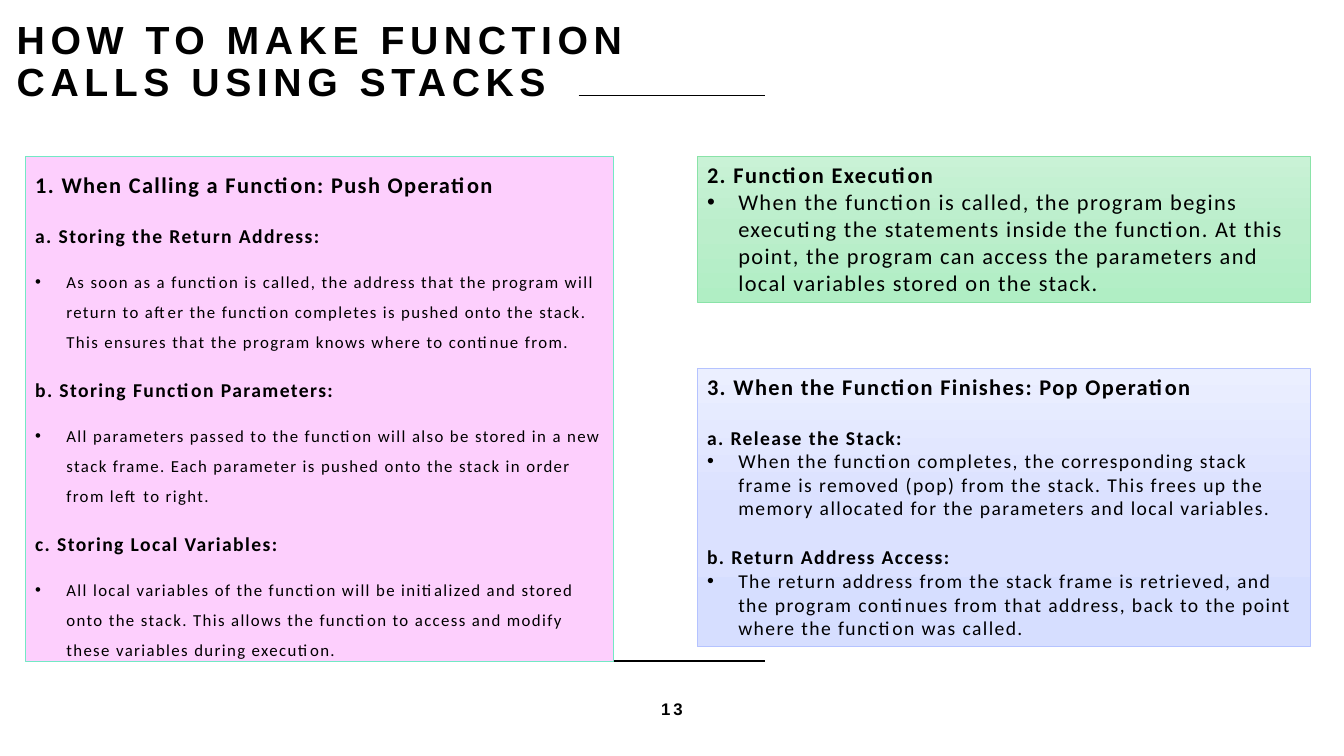
"""Build the slide on making function calls using stacks."""
from copy import deepcopy
from dataclasses import dataclass

from lxml import etree
from pptx import Presentation
from pptx import util as u
from pptx.dml import color
from pptx.enum import shapes, text
from pptx.oxml import ns

COLUMNS, ROWS = 160, 90
CELL = u.Inches(1) / 12


@dataclass(frozen=True)
class Theme:
    ink: str = "000000"
    pink: tuple = ("FDCFFD",)
    pink_edge: str = "73E9C4"
    green: tuple = ("C9F2D6", "BBEECB", "B0EEC4")
    green_edge: str = "8AE3A8"
    blue: tuple = ("EBEFFF", "DBE1FF", "D6DEFF")
    blue_edge: str = "B5C3FF"
    heading_font: str = "Arial"
    body_font: str = "Calibri"
    title: int = 28
    heading: int = 16
    step: int = 14
    detail: int = 12
    rule: float = 1
    edge: float = 0.5


THEME = Theme()


@dataclass(frozen=True)
class Area:
    column: float
    row: float
    columns: float
    rows: float

    def box(self) -> tuple:
        return tuple(cells(n) for n in (self.column, self.row, self.columns, self.rows))


@dataclass(frozen=True)
class Line:
    words: str
    size: int
    font: str = THEME.body_font
    bold: bool = True
    bullet: bool = False
    spacing: float = 1.0
    before: float = 0
    tracking: float = 1
    align: text.PP_ALIGN = text.PP_ALIGN.LEFT


@dataclass(frozen=True)
class Panel:
    area: Area
    fills: tuple
    edge: str
    lines: tuple
    anchor: text.MSO_ANCHOR = text.MSO_ANCHOR.TOP
    grow: bool = True


def cells(count: float) -> u.Emu:
    return u.Emu(round(count * CELL))


def rgb(code: str) -> color.RGBColor:
    return color.RGBColor.from_string(code)


def loose(words: str, size: int = THEME.step, **options) -> Line:
    return Line(words, size, spacing=1.5, before=10, **options)


def point(words: str, size: int) -> Line:
    return Line(words, size, bold=False, bullet=True)


def loose_point(words: str) -> Line:
    return loose(words, THEME.detail, bold=False, bullet=True)


TITLE = Line("HOW TO MAKE FUNCTION CALLS USING STACKS", THEME.title,
             THEME.heading_font, spacing=0.9, tracking=4)
NUMBER = Line("13", THEME.detail, THEME.heading_font, tracking=2,
              align=text.PP_ALIGN.CENTER)
RULE_ROWS = (11.4, 78.7)
RULE_COLUMNS = (68.9, 91.1)

PANELS = (
    Panel(Area(3, 18.6, 70, 60.2), THEME.pink, THEME.pink_edge, (
        loose("1. When Calling a Function: Push Operation", THEME.heading),
        loose("a. Storing the Return Address:"),
        loose_point("As soon as a function is called, the address that the program will "
                    "return to after the function completes is pushed onto the stack. "
                    "This ensures that the program knows where to continue from."),
        loose("b. Storing Function Parameters:"),
        loose_point("All parameters passed to the function will also be stored in a new "
                    "stack frame. Each parameter is pushed onto the stack in order "
                    "from left to right."),
        loose("c. Storing Local Variables:"),
        loose_point("All local variables of the function will be initialized and stored "
                    "onto the stack. This allows the function to access and modify "
                    "these variables during execution."),
    ), text.MSO_ANCHOR.MIDDLE, False),
    Panel(Area(83, 18.6, 73, 17.4), THEME.green, THEME.green_edge, (
        Line("2. Function Execution", THEME.heading),
        point("When the function is called, the program begins executing the statements "
              "inside the function. At this point, the program can access the parameters "
              "and local variables stored on the stack.", THEME.heading),
    )),
    Panel(Area(83, 43.8, 73, 33.2), THEME.blue, THEME.blue_edge, (
        Line("3. When the Function Finishes: Pop Operation", THEME.heading),
        loose("a. Release the Stack:"),
        point("When the function completes, the corresponding stack frame is removed "
              "(pop) from the stack. This frees up the memory allocated for the "
              "parameters and local variables.", THEME.step),
        loose("b. Return Address Access:"),
        point("The return address from the stack frame is retrieved, and the program "
              "continues from that address, back to the point where the function was "
              "called.", THEME.step),
    )),
)


def write(frame, lines: tuple, anchor: text.MSO_ANCHOR) -> None:
    frame.word_wrap = True
    frame.vertical_anchor = anchor
    frame.text = "\n".join(line.words for line in lines)
    for paragraph, line in zip(frame.paragraphs, lines):
        paragraph.alignment = line.align
        paragraph.line_spacing = line.spacing
        paragraph.space_before = u.Pt(line.before)
        if line.bullet:
            properties = paragraph._p.get_or_add_pPr()
            indent = u.Inches(0.31)
            properties.set("marL", str(indent))
            properties.set("indent", str(-indent))
            etree.SubElement(properties, ns.qn("a:buFont"), typeface=THEME.heading_font)
            etree.SubElement(properties, ns.qn("a:buChar"), char="•")
        for run in paragraph.runs:
            run.font.name = line.font
            run.font.size = u.Pt(line.size)
            run.font.bold = line.bold
            run.font.color.rgb = rgb(THEME.ink)
            run._r.get_or_add_rPr().set("spc", str(round(line.tracking * 100)))


def paint(shape, fills: tuple) -> None:
    if len(fills) == 1:
        shape.fill.solid()
        shape.fill.fore_color.rgb = rgb(fills[0])
        return
    shape.fill.gradient()
    shape.fill.gradient_angle = 270
    stop_list = shape._element.spPr.find(".//" + ns.qn("a:gsLst"))
    while len(stop_list) < len(fills):
        stop_list.append(deepcopy(stop_list[-1]))
    for index, (stop, fill) in enumerate(zip(shape.fill.gradient_stops, fills)):
        stop.position = index / (len(fills) - 1)
        stop.color.rgb = rgb(fill)


def add_rule(slide, row: float) -> None:
    start, end = (cells(column) for column in RULE_COLUMNS)
    rule = slide.shapes.add_connector(
        shapes.MSO_CONNECTOR.STRAIGHT, start, cells(row), end, cells(row))
    rule.line.color.rgb = rgb(THEME.ink)
    rule.line.width = u.Pt(THEME.rule)
    etree.SubElement(rule._element.spPr, ns.qn("a:effectLst"))


def add_label(slide, area: Area, line: Line):
    label = slide.shapes.add_textbox(*area.box())
    write(label.text_frame, (line,), text.MSO_ANCHOR.MIDDLE)
    return label


def add_panel(slide, panel: Panel) -> None:
    shape = slide.shapes.add_shape(shapes.MSO_SHAPE.RECTANGLE, *panel.area.box())
    shape.shadow.inherit = False
    paint(shape, panel.fills)
    shape.line.color.rgb = rgb(panel.edge)
    shape.line.width = u.Pt(THEME.edge)
    write(shape.text_frame, panel.lines, panel.anchor)
    if panel.grow:
        shape.text_frame.auto_size = text.MSO_AUTO_SIZE.SHAPE_TO_FIT_TEXT


def main() -> None:
    presentation = Presentation()
    presentation.slide_width, presentation.slide_height = cells(COLUMNS), cells(ROWS)
    slide = presentation.slides.add_slide(presentation.slide_layouts[6])
    for row in RULE_ROWS:
        add_rule(slide, row)
    title = add_label(slide, Area(2, 0, 73, 14.9), TITLE)
    title.text_frame.margin_left = title.text_frame.margin_right = 0
    add_label(slide, Area(53, 78.8, 54, 11.2), NUMBER)
    for panel in PANELS:
        add_panel(slide, panel)
    presentation.save("out.pptx")


if __name__ == "__main__":
    main()
